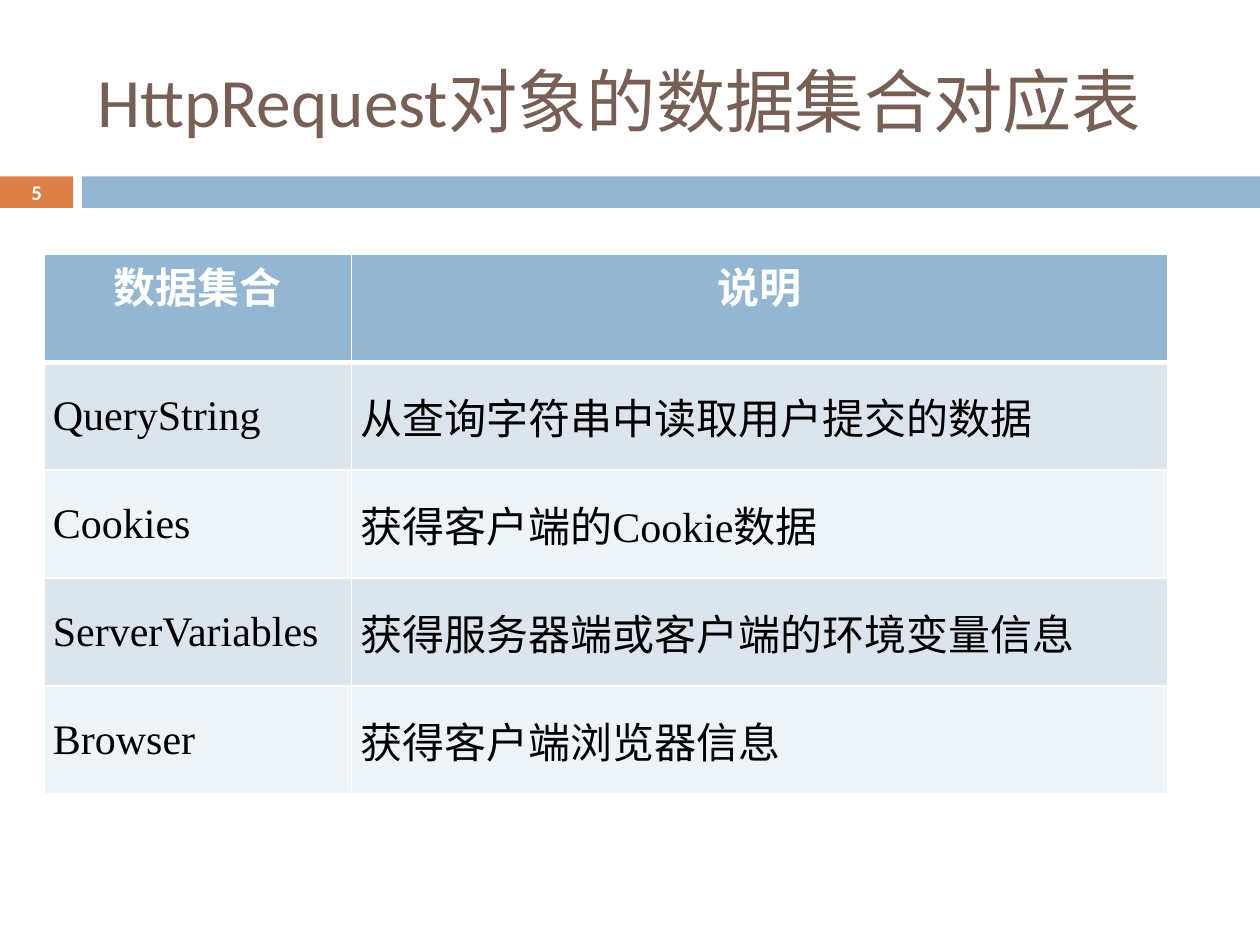
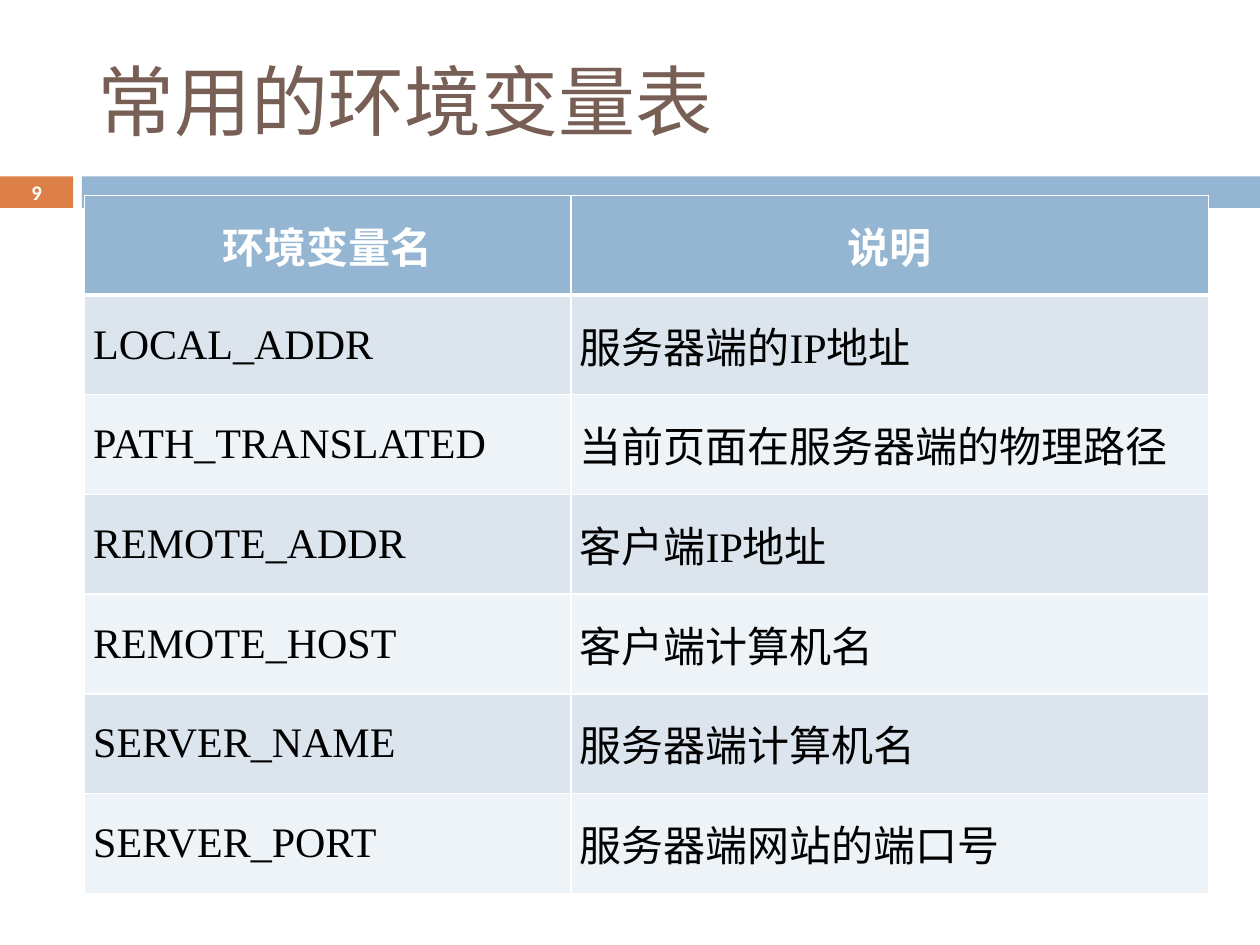
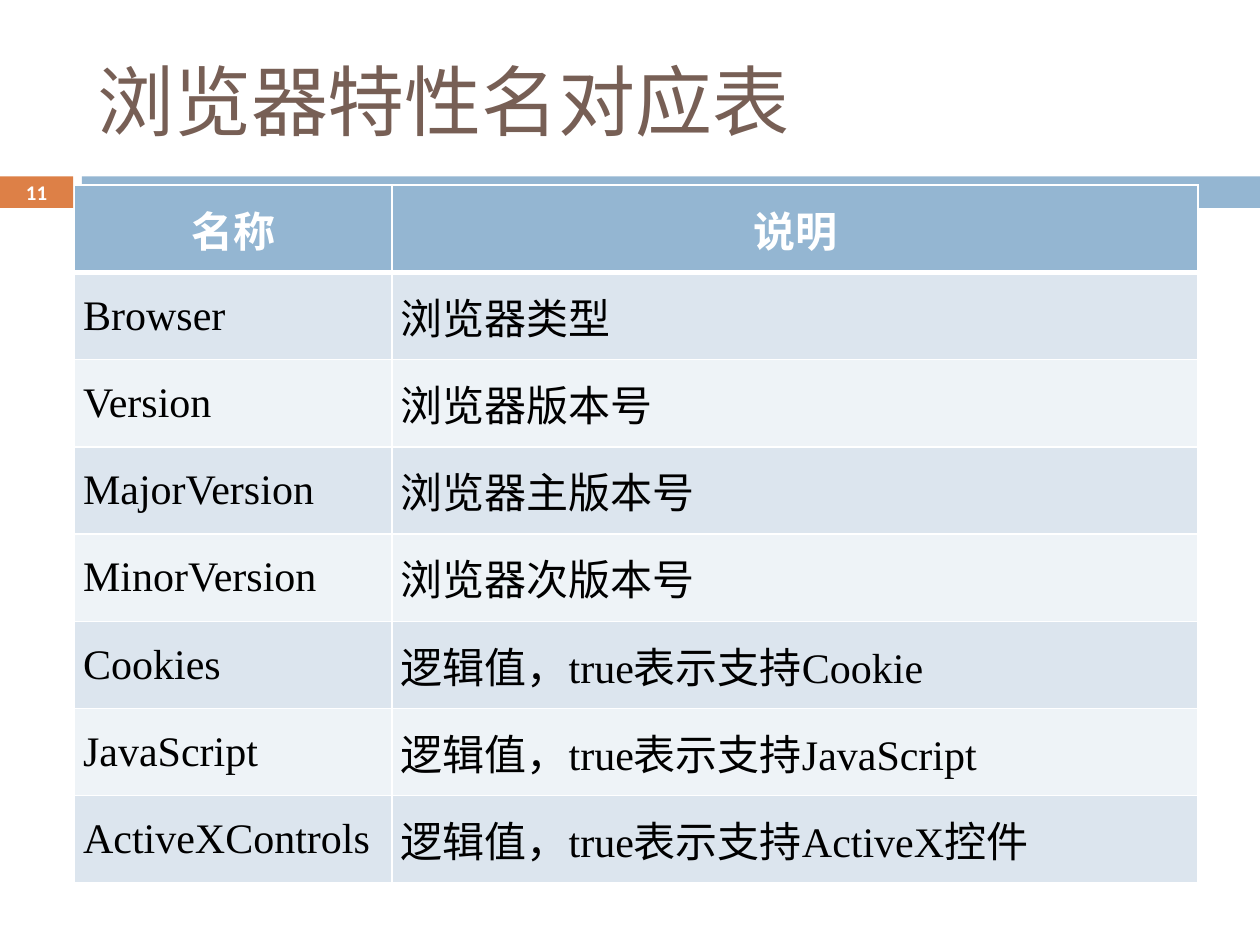
from dataclasses import dataclass

from lxml import etree
from pptx import Presentation
from pptx.dml.color import RGBColor
from pptx.enum.shapes import MSO_SHAPE
from pptx.enum.text import MSO_ANCHOR, PP_ALIGN
from pptx.oxml.ns import qn
from pptx.util import Inches, Pt

RECTANGLE = MSO_SHAPE.RECTANGLE
TOP, MIDDLE = MSO_ANCHOR.TOP, MSO_ANCHOR.MIDDLE
LEFT, CENTER, JUSTIFY = PP_ALIGN.LEFT, PP_ALIGN.CENTER, PP_ALIGN.JUSTIFY
TITLE_ONLY = 5


@dataclass(frozen=True)
class Theme:
    orange: str = "DD8047"
    blue: str = "94B6D2"
    brown: str = "775F55"
    white: str = "FFFFFF"
    black: str = "000000"
    row_fills: tuple[str, str] = ("DCE5EE", "EEF3F7")
    heading_font: str = "Calibri"
    table_font: str = "Times New Roman"
    title_size: float = 44
    long_title_size: float = 39.6
    number_size: float = 11.9
    table_size: float = 24
    thin_border: float = 1
    header_border: float = 3


@dataclass(frozen=True)
class Band:
    left: float
    width: float
    color: str


@dataclass(frozen=True)
class TablePage:
    number: int
    title: str
    left: float
    top: float
    height: float
    column_widths: tuple[float, float]
    rows: list[tuple[str, str]]  # the first row is the header
    title_size: float = Theme.title_size
    title_align: PP_ALIGN = JUSTIFY
    header_anchor: MSO_ANCHOR = MIDDLE


THEME = Theme()
BAND_TOP, BAND_HEIGHT = 1.4, 0.25
BANDS = [Band(0, 0.58, THEME.orange), Band(0.65, 9.35, THEME.blue)]

PAGES = [
    TablePage(
        5, "HttpRequest对象的数据集合对应表", 0.35, 2.02, 4.28, (2.44, 6.48),
        [
            ("数据集合", "说明"),
            ("QueryString", "从查询字符串中读取用户提交的数据"),
            ("Cookies", "获得客户端的Cookie数据"),
            ("ServerVariables", "获得服务器端或客户端的环境变量信息"),
            ("Browser", "获得客户端浏览器信息"),
        ],
        title_size=THEME.long_title_size, title_align=LEFT, header_anchor=TOP,
    ),
    TablePage(
        9, "常用的环境变量表", 0.67, 1.55, 5.54, (3.86, 5.06),
        [
            ("环境变量名", "说明"),
            ("LOCAL_ADDR", "服务器端的IP地址"),
            ("PATH_TRANSLATED", "当前页面在服务器端的物理路径"),
            ("REMOTE_ADDR", "客户端IP地址"),
            ("REMOTE_HOST", "客户端计算机名"),
            ("SERVER_NAME", "服务器端计算机名"),
            ("SERVER_PORT", "服务器端网站的端口号"),
        ],
    ),
    TablePage(
        11, "浏览器特性名对应表", 0.59, 1.47, 5.54, (2.52, 6.4),
        [
            ("名称", "说明"),
            ("Browser", "浏览器类型"),
            ("Version", "浏览器版本号"),
            ("MajorVersion", "浏览器主版本号"),
            ("MinorVersion", "浏览器次版本号"),
            ("Cookies", "逻辑值，true表示支持Cookie"),
            ("JavaScript", "逻辑值，true表示支持JavaScript"),
            ("ActiveXControls", "逻辑值，true表示支持ActiveX控件"),
        ],
    ),
]


def write_text(frame, text: str, font: str, size: float, color: str,
               align: PP_ALIGN, bold: bool = False) -> None:
    """Fill a text frame with one formatted paragraph."""
    frame.text = text
    frame.word_wrap = True
    para = frame.paragraphs[0]
    para.alignment = align
    para.font.name = font
    para.font.size = Pt(size)
    para.font.bold = bold
    para.font.color.rgb = RGBColor.from_string(color)


def draw_bands(page) -> None:
    for band in BANDS:
        box = page.shapes.add_shape(RECTANGLE, Inches(band.left), Inches(BAND_TOP),
                                    Inches(band.width), Inches(BAND_HEIGHT))
        box.shadow.inherit = False
        box.fill.solid()
        box.fill.fore_color.rgb = RGBColor.from_string(band.color)
        box.line.fill.background()


def draw_title(page, content: TablePage) -> None:
    title = page.shapes.title
    title.left, title.top = Inches(0.67), Inches(0.25)
    title.width, title.height = Inches(8.92), Inches(1.08)
    title.text_frame.vertical_anchor = MIDDLE
    write_text(title.text_frame, content.title, THEME.heading_font,
               content.title_size, THEME.brown, content.title_align)


def draw_page_number(page, number: int) -> None:
    box = page.shapes.add_textbox(Inches(0), Inches(1.39), Inches(0.58), Inches(0.27))
    frame = box.text_frame
    frame.margin_top = frame.margin_bottom = 0
    frame.vertical_anchor = MIDDLE
    write_text(frame, str(number), THEME.heading_font, THEME.number_size,
               THEME.white, CENTER, bold=True)


def set_borders(cell, top: float, bottom: float) -> None:
    """Give a cell white borders; must run before the cell's fill is set."""
    properties = cell._tc.get_or_add_tcPr()
    widths = {"lnL": THEME.thin_border, "lnR": THEME.thin_border,
              "lnT": top, "lnB": bottom}
    for tag, width in widths.items():
        line = etree.SubElement(properties, qn(f"a:{tag}"), w=str(Pt(width)))
        fill = etree.SubElement(line, qn("a:solidFill"))
        etree.SubElement(fill, qn("a:srgbClr"), val=THEME.white)


def format_cell(cell, text: str, row: int, header_anchor: MSO_ANCHOR) -> None:
    is_header = row == 0
    set_borders(cell,
                top=THEME.header_border if row == 1 else THEME.thin_border,
                bottom=THEME.header_border if is_header else THEME.thin_border)
    cell.fill.solid()
    color = THEME.blue if is_header else THEME.row_fills[(row - 1) % 2]
    cell.fill.fore_color.rgb = RGBColor.from_string(color)
    cell.margin_left = cell.margin_right = Inches(0.07)
    cell.margin_top = cell.margin_bottom = 0
    cell.vertical_anchor = header_anchor if is_header else MIDDLE
    write_text(cell.text_frame, text, THEME.table_font, THEME.table_size,
               THEME.white if is_header else THEME.black,
               CENTER if is_header else JUSTIFY, bold=is_header)


def draw_table(page, content: TablePage) -> None:
    row_count = len(content.rows)
    table = page.shapes.add_table(
        row_count, len(content.column_widths), Inches(content.left), Inches(content.top),
        Inches(sum(content.column_widths)), Inches(content.height)).table
    table.horz_banding = False
    for column, width in zip(table.columns, content.column_widths):
        column.width = Inches(width)
    for row, texts in enumerate(content.rows):
        table.rows[row].height = Inches(content.height / row_count)
        for column, text in enumerate(texts):
            format_cell(table.cell(row, column), text, row, content.header_anchor)


# Build the deck
deck = Presentation()
deck.slide_width, deck.slide_height = Inches(10), Inches(7.5)
for content in PAGES:
    page = deck.slides.add_slide(deck.slide_layouts[TITLE_ONLY])
    draw_bands(page)
    draw_title(page, content)
    draw_page_number(page, content.number)
    draw_table(page, content)
deck.save("out.pptx")
